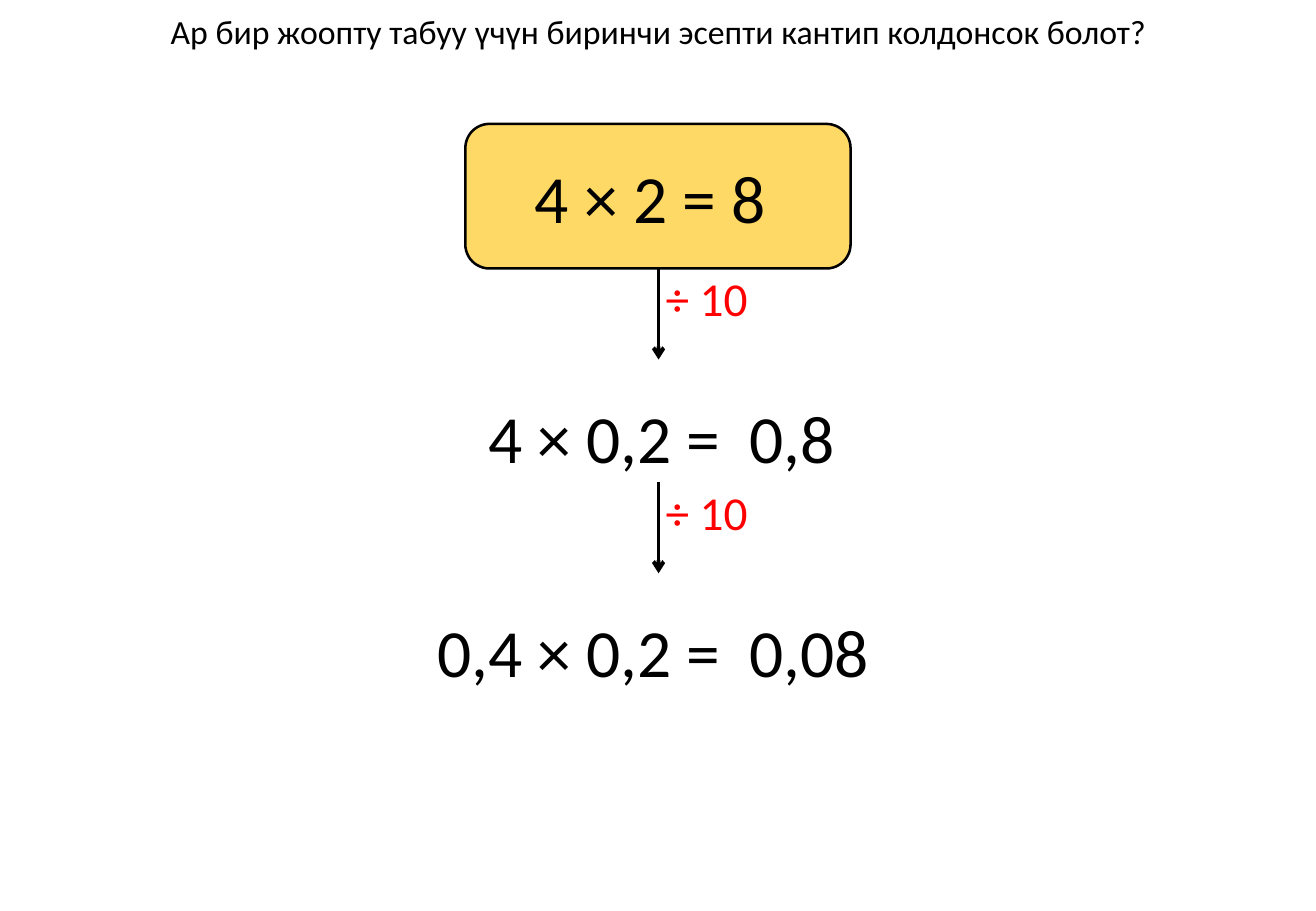
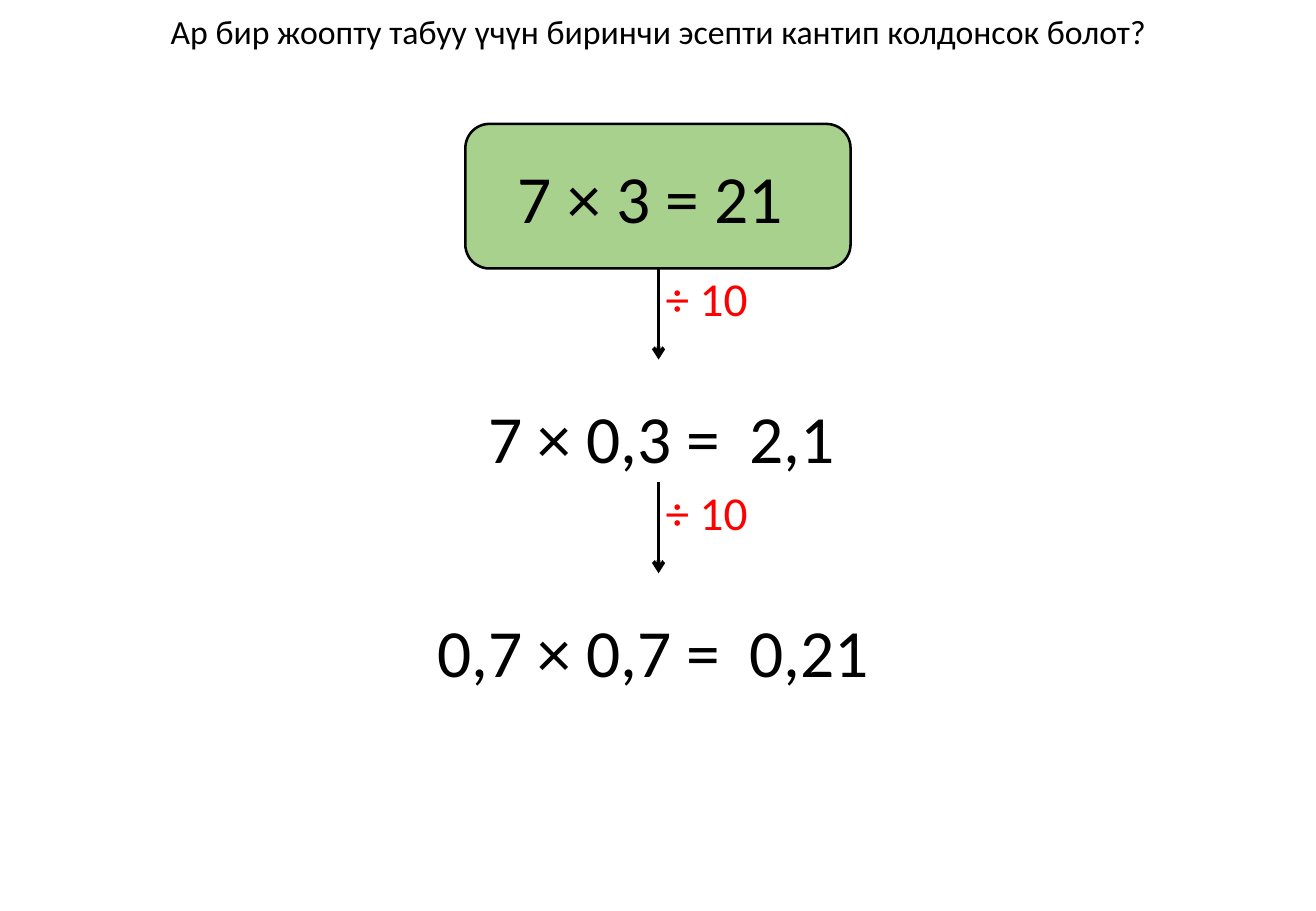
from pptx import Presentation
from pptx.dml.color import RGBColor
from pptx.enum import shapes, text
from pptx.oxml.ns import qn
from pptx.util import Inches, Pt
from lxml import etree

COLORS = {"ink": "000000", "step": "FF0000", "yellow": "FFD966", "green": "A9D18E"}
FONT = "Calibri"
TITLE = "Ар бир жоопту табуу үчүн биринчи эсепти кантип колдонсок болот?"
CENTER = 5.42
STEP_HEIGHT = 1.76
LEFT, MIDDLE, RIGHT = text.PP_ALIGN.LEFT, text.PP_ALIGN.CENTER, text.PP_ALIGN.RIGHT

# Fill of the first sum, the first sum, then (left side, answer) of each step
SLIDES = [
    ("yellow", "4 × 2 = 8 ", [("4 × 0,2 =", "0,8"), ("0,4 × 0,2 =", "0,08")]),
    ("green", "7 × 3 = 21 ", [("7 × 0,3 =", "2,1"), ("0,7 × 0,7 =", "0,21")]),
]


def write(box, words, size, align, color="ink"):
    """Put one formatted line of text into a shape."""
    para = box.text_frame.paragraphs[0]
    para.alignment = align
    span = para.add_run()
    span.text = words
    span.font.name = FONT
    span.font.size = Pt(size)
    span.font.color.rgb = RGBColor.from_string(COLORS[color])


def add_label(page, left, top, width, height, words, size, align, color="ink"):
    box = page.shapes.add_textbox(Inches(left), Inches(top), Inches(width), Inches(height))
    box.text_frame.word_wrap = False
    box.text_frame.auto_size = text.MSO_AUTO_SIZE.SHAPE_TO_FIT_TEXT
    write(box, words, size, align, color)


deck = Presentation()
deck.slide_width, deck.slide_height = Inches(10.83), Inches(7.5)

for fill, first_sum, steps in SLIDES:
    page = deck.slides.add_slide(deck.slide_layouts[5])

    title = page.shapes.title
    title.left, title.top = Inches(1.28), Inches(0.04)
    title.width, title.height = Inches(8.28), Inches(0.44)
    title.text_frame.word_wrap = False
    title.text_frame.auto_size = text.MSO_AUTO_SIZE.NONE
    title.text_frame.vertical_anchor = text.MSO_ANCHOR.TOP
    write(title, TITLE, 20, MIDDLE)

    card = page.shapes.add_shape(shapes.MSO_SHAPE.ROUNDED_RECTANGLE,
                                 Inches(3.83), Inches(1.02), Inches(3.17), Inches(1.19))
    card.shadow.inherit = False
    card.fill.solid()
    card.fill.fore_color.rgb = RGBColor.from_string(COLORS[fill])
    card.line.color.rgb = RGBColor.from_string(COLORS["ink"])
    card.line.width = Pt(1.5)
    card.text_frame.vertical_anchor = text.MSO_ANCHOR.MIDDLE
    write(card, first_sum, 40, MIDDLE)

    for index, (left_side, answer) in enumerate(steps):
        top = 2.21 + index * STEP_HEIGHT
        arrow = page.shapes.add_connector(shapes.MSO_CONNECTOR.STRAIGHT, Inches(CENTER),
                                          Inches(top), Inches(CENTER), Inches(top + 0.75))
        arrow.line.color.rgb = RGBColor.from_string(COLORS["ink"])
        arrow.line.width = Pt(2.25)
        etree.SubElement(arrow.line._get_or_add_ln(), qn("a:tailEnd"), type="arrow")
        etree.SubElement(arrow._element.spPr, qn("a:effectLst"))

        add_label(page, 5.36, top - 0.04, 0.89, 0.57, "÷ 10", 28, RIGHT, "step")
        width = 2.13 if index == 0 else 2.56
        add_label(page, 6.03 - width, top + 1, width, 0.77, left_side, 40, RIGHT)
        width = 0.91 if index == 0 else 1.2
        add_label(page, 6.07, top + 1, width, 0.77, answer, 40, LEFT)

deck.save("out.pptx")
